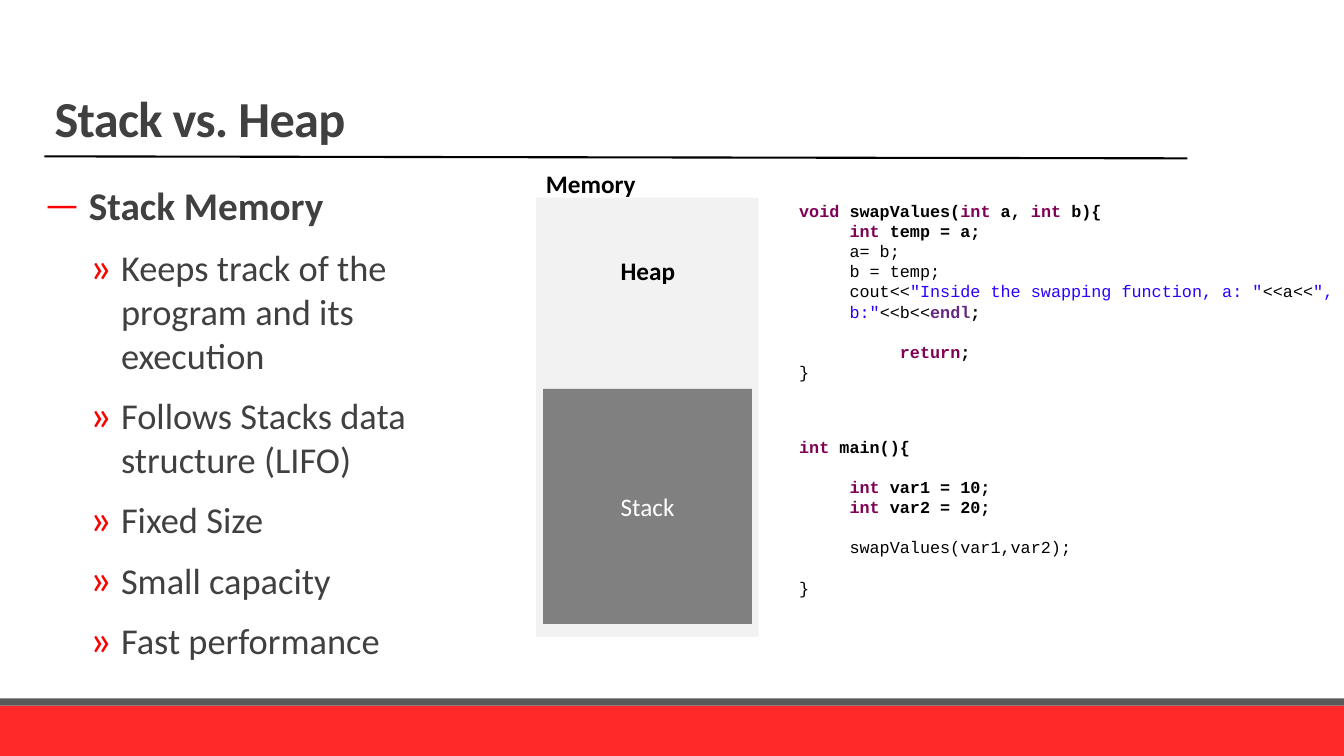
from dataclasses import dataclass

from lxml.etree import SubElement
from pptx import Presentation
from pptx.dml.color import RGBColor
from pptx.enum.shapes import MSO_CONNECTOR, MSO_SHAPE
from pptx.enum.text import MSO_ANCHOR, MSO_AUTO_SIZE, PP_ALIGN
from pptx.oxml.ns import qn
from pptx.util import Cm, Pt

RED = RGBColor(0xFF, 0x29, 0x29)
BULLET_RED = RGBColor(0xFF, 0x00, 0x00)
DARK_GRAY = RGBColor(0x59, 0x59, 0x59)
TEXT_GRAY = RGBColor(0x40, 0x40, 0x40)
STACK_GRAY = RGBColor(0x80, 0x80, 0x80)
MEMORY_GRAY = RGBColor(0xF2, 0xF2, 0xF2)
WHITE = RGBColor(0xFF, 0xFF, 0xFF)
BLACK = RGBColor(0x00, 0x00, 0x00)
KEYWORD = RGBColor(0x7F, 0x00, 0x55)
STRING = RGBColor(0x2A, 0x00, 0xFF)
MANIPULATOR = RGBColor(0x64, 0x28, 0x80)
BLANK_LINE = Pt(14.4)


@dataclass(frozen=True)
class Box:
    left: float
    top: float
    width: float
    height: float

    def lengths(self) -> tuple:
        return Cm(self.left), Cm(self.top), Cm(self.width), Cm(self.height)


@dataclass(frozen=True)
class Span:
    text: str
    color: RGBColor = BLACK
    bold: bool = False


@dataclass(frozen=True)
class CodeLine:
    spans: tuple
    depth: int = 0
    blank_lines: int = 0


@dataclass(frozen=True)
class Bullet:
    text: str
    mark: str = "»"
    level: int = 1
    margin: float = 1.93
    hanging: float = 0.79
    mark_percent: int = 120
    size: int = 26
    bold: bool = False


def keyword(text: str) -> Span:
    return Span(text, KEYWORD, True)


def strong(text: str) -> Span:
    return Span(text, BLACK, True)


SWAP_CODE = (
    CodeLine((keyword("void "), strong("swapValues("), keyword("int"),
              strong(" a, "), keyword("int"), strong(" b){"))),
    CodeLine((keyword("int"), strong(" temp = a;")), 1),
    CodeLine((Span("a= b;"),), 1),
    CodeLine((Span("b = temp;"),), 1),
    CodeLine((Span("cout<<"), Span('"Inside the swapping function, a: "', STRING),
              Span("<<a<<"), Span('", b:"', STRING), Span("<<b<<"),
              Span("endl", MANIPULATOR, True), strong(";")), 1),
    CodeLine((keyword("return"), strong(";")), 2, 1),
    CodeLine((Span("}"),)),
)
MAIN_CODE = (
    CodeLine((keyword("int"), strong(" main(){"))),
    CodeLine((keyword("int"), strong(" var1 = 10;")), 1, 1),
    CodeLine((keyword("int"), strong(" var2 = 20;")), 1),
    CodeLine((Span("swapValues(var1,var2);"),), 1, 1),
    CodeLine((Span("}"),), 0, 1),
)
BULLETS = (
    Bullet("Stack Memory", "—", 0, 1.12, 1.12, 100, 28, True),
    Bullet("Keeps track of the program and its execution"),
    Bullet("Follows Stacks data structure (LIFO)"),
    Bullet("Fixed Size"),
    Bullet("Small capacity"),
    Bullet("Fast performance"),
)


def apply(target, values: dict) -> None:
    for name, value in values.items():
        setattr(target, name, value)


def add_span(paragraph, span: Span, size: float, font_name: str = "Calibri"):
    run = paragraph.add_run()
    run.text = span.text
    apply(run.font, {"name": font_name, "size": Pt(size), "bold": span.bold})
    run.font.color.rgb = span.color
    return run


def place(shape, box: Box) -> None:
    apply(shape, dict(zip(("left", "top", "width", "height"), box.lengths())))


def add_rectangle(slide, box: Box, color: RGBColor):
    shape = slide.shapes.add_shape(MSO_SHAPE.RECTANGLE, *box.lengths())
    shape.shadow.inherit = False
    shape.fill.solid()
    shape.fill.fore_color.rgb = color
    shape.line.fill.background()
    return shape


def add_rule(slide) -> None:
    rule = slide.shapes.add_connector(
        MSO_CONNECTOR.STRAIGHT, Cm(1.12), Cm(3.94), Cm(29.92), Cm(3.99))
    rule.line.color.rgb = BLACK
    rule.line.width = Pt(1.5)
    SubElement(rule._element.spPr, qn("a:effectLst"))


def add_label(slide, text: str, box: Box) -> None:
    frame = slide.shapes.add_textbox(*box.lengths()).text_frame
    frame.word_wrap = False
    add_span(frame.paragraphs[0], strong(text), 18)


def add_code(slide, lines: tuple, box: Box) -> None:
    frame = slide.shapes.add_textbox(*box.lengths()).text_frame
    frame.word_wrap = True
    for index, line in enumerate(lines):
        paragraph = frame.add_paragraph() if index else frame.paragraphs[0]
        paragraph._p.get_or_add_pPr().set("marL", str(Cm(1.27 * line.depth)))
        paragraph.space_before = BLANK_LINE * line.blank_lines
        for span in line.spans:
            add_span(paragraph, span, 12, "Courier New")


def fill_title(title) -> None:
    place(title, Box(1.12, 0, 28.78, 3.84))
    frame = title.text_frame
    apply(frame, {"vertical_anchor": MSO_ANCHOR.BOTTOM, "word_wrap": True,
                  "auto_size": MSO_AUTO_SIZE.NONE})
    paragraph = frame.paragraphs[0]
    apply(paragraph, {"alignment": PP_ALIGN.LEFT, "line_spacing": 0.85})
    run = add_span(paragraph, Span("Stack vs. Heap", TEXT_GRAY, True), 36)
    run._r.get_or_add_rPr().set("spc", "-50")


def fill_body(body) -> None:
    place(body, Box(1.12, 4.45, 11.18, 12.7))
    frame = body.text_frame
    apply(frame, {"margin_left": 0, "margin_right": 0, "word_wrap": True,
                  "auto_size": MSO_AUTO_SIZE.NONE})
    for index, bullet in enumerate(BULLETS):
        paragraph = frame.add_paragraph() if index else frame.paragraphs[0]
        properties = paragraph._p.get_or_add_pPr()
        properties.set("marL", str(Cm(bullet.margin)))
        properties.set("indent", str(-Cm(bullet.hanging)))
        color = SubElement(properties, qn("a:buClr"))
        SubElement(color, qn("a:srgbClr"), val=str(BULLET_RED))
        SubElement(properties, qn("a:buSzPct"), val=str(bullet.mark_percent * 1000))
        SubElement(properties, qn("a:buFont"), typeface="Calibri")
        SubElement(properties, qn("a:buChar"), char=bullet.mark)
        apply(paragraph, {"level": bullet.level, "space_after": Pt(6),
                          "space_before": Pt(6 if index else 0)})
        add_span(paragraph, Span(bullet.text, TEXT_GRAY, bullet.bold), bullet.size)


def main() -> None:
    presentation = Presentation()
    apply(presentation, {"slide_width": Cm(33.87), "slide_height": Cm(19.05)})
    slide = presentation.slides.add_slide(presentation.slide_layouts[1])
    fill_title(slide.shapes.title)
    fill_body(slide.placeholders[1])
    add_rectangle(slide, Box(0, 17.78, 33.87, 1.27), RED)
    add_rectangle(slide, Box(0, 17.6, 33.87, 0.18), DARK_GRAY)
    add_rule(slide)
    add_code(slide, MAIN_CODE, Box(19.89, 10.87, 12.17, 4.37))
    add_code(slide, SWAP_CODE, Box(19.89, 4.93, 15.72, 4.88))
    add_rectangle(slide, Box(13.51, 4.98, 5.61, 11.07), MEMORY_GRAY)
    stack = add_rectangle(slide, Box(13.69, 9.8, 5.26, 5.92), STACK_GRAY)
    stack.text_frame.vertical_anchor = MSO_ANCHOR.MIDDLE
    stack.text_frame.paragraphs[0].alignment = PP_ALIGN.CENTER
    add_span(stack.text_frame.paragraphs[0], Span("Stack", WHITE), 18)
    add_label(slide, "Heap", Box(15.39, 6.32, 1.88, 1.02))
    add_label(slide, "Memory", Box(13.51, 4.11, 2.79, 1.02))
    presentation.save("out.pptx")


if __name__ == "__main__":
    main()
